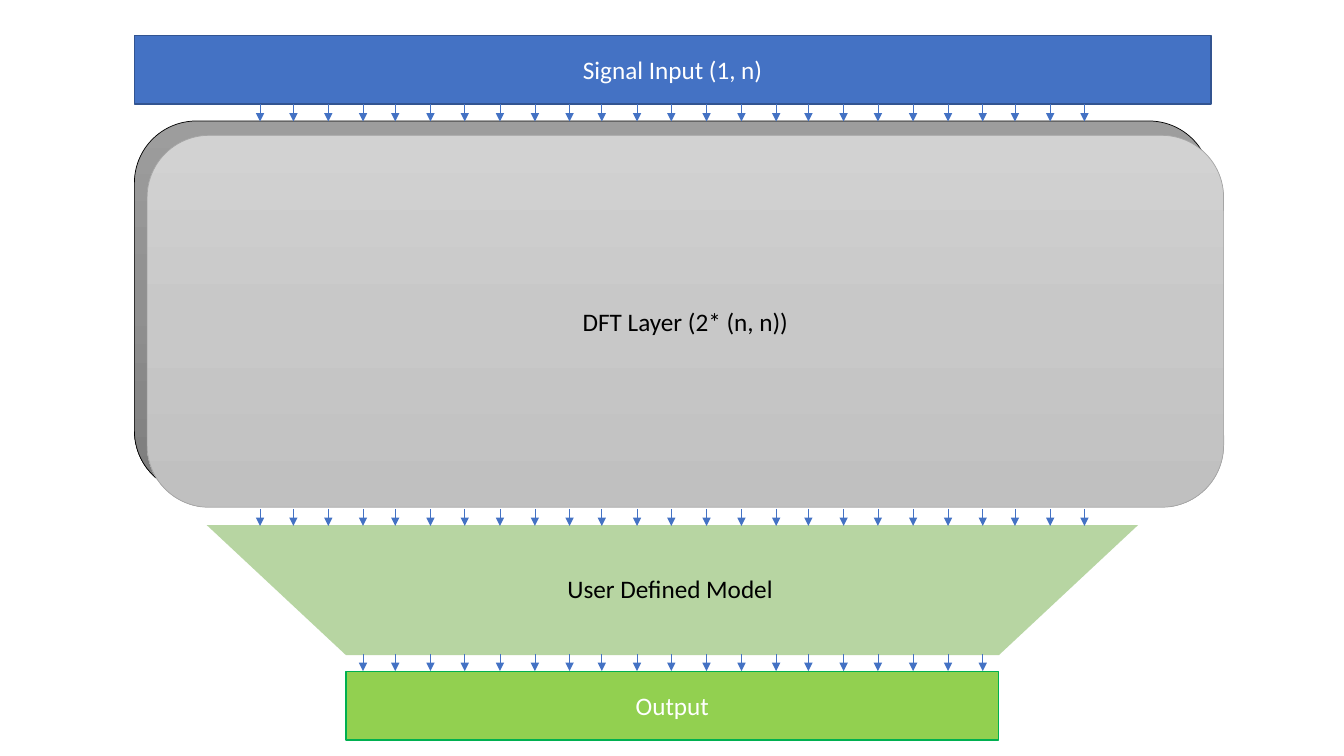
from copy import deepcopy
from lxml import etree
from pptx import Presentation
from pptx import util as u
from pptx.dml.color import RGBColor
from pptx.enum import shapes, text
from pptx.oxml.ns import qn

BLUE = RGBColor(0x44, 0x72, 0xC4)
DARK_BLUE = RGBColor(0x32, 0x54, 0x91)
GREEN = RGBColor(0x70, 0xAD, 0x47)
LIME = RGBColor(0x92, 0xD0, 0x50)
EMERALD = RGBColor(0x00, 0xB0, 0x50)
GRAY = RGBColor(0xA5, 0xA5, 0xA5)
BLACK = RGBColor(0x00, 0x00, 0x00)
WHITE = RGBColor(0xFF, 0xFF, 0xFF)
DARK_GRAYS = [RGBColor(0x9D, 0x9D, 0x9D), RGBColor(0x90, 0x90, 0x90), RGBColor(0x7C, 0x7C, 0x7C)]
LIGHT_GRAYS = [RGBColor(0xD2, 0xD2, 0xD2), RGBColor(0xC8, 0xC8, 0xC8), RGBColor(0xC0, 0xC0, 0xC0)]

presentation = Presentation()
presentation.slide_width = u.Inches(13.33)
presentation.slide_height = u.Inches(7.5)
slide = presentation.slides.add_slide(presentation.slide_layouts[6])
column = presentation.slide_width / 100
row = presentation.slide_height / 100


def add_block(kind, left, top, width, height):
    block = slide.shapes.add_shape(
        kind, int(left * column), int(top * row), int(width * column), int(height * row))
    block.shadow.inherit = False
    return block


def write_label(shape, label, color):
    paragraph = shape.text_frame.paragraphs[0]
    paragraph.text = label
    paragraph.font.name = "Calibri"
    paragraph.font.size = u.Pt(18)
    paragraph.font.color.rgb = color


bars = [
    ("Signal Input (1, n)", 10, 4.7, 80.1, BLUE, DARK_BLUE),
    ("Output", 25.75, 88.8, 48.55, LIME, EMERALD),
]
for label, left, top, width, fill, outline in bars:
    bar = add_block(shapes.MSO_SHAPE.RECTANGLE, left, top, width, 9.07)
    bar.fill.solid()
    bar.fill.fore_color.rgb = fill
    bar.line.color.rgb = outline
    bar.line.width = u.Pt(1)
    write_label(bar, label, WHITE)

for left, top, grays, outline in [(10, 16, DARK_GRAYS, BLACK), (10.95, 17.9, LIGHT_GRAYS, GRAY)]:
    layer = add_block(shapes.MSO_SHAPE.ROUNDED_RECTANGLE, left, top, 80.1, 49.2)
    layer.fill.gradient()
    layer.fill.gradient_angle = 270
    stop_list = layer.fill._xPr.find(".//" + qn("a:gsLst"))
    stop_list.append(deepcopy(stop_list[0]))
    for index, gray in enumerate(grays):
        stop = layer.fill.gradient_stops[index]
        stop.position = index / 2
        stop.color.rgb = gray
    layer.line.color.rgb = outline
    layer.line.width = u.Pt(0.5)
write_label(layer, "DFT Layer (2* (n, n))", BLACK)

model = add_block(shapes.MSO_SHAPE.TRAPEZOID, 15.38, 69.45, 69.3, 17.2)
model.rotation = 180
model.adjustments[0] = 1.07
model.fill.solid()
model.fill.fore_color.rgb = GREEN
model.line.fill.background()
model_color = model._element.spPr.find(".//" + qn("a:srgbClr"))
etree.SubElement(model_color, qn("a:alpha"), val="50000")

model_label = slide.shapes.add_textbox(
    int(41.48 * column), int(75.2 * row), int(16.95 * column), int(5.33 * row))
model_label.text_frame.word_wrap = False
model_label.text_frame.auto_size = text.MSO_AUTO_SIZE.SHAPE_TO_FIT_TEXT
write_label(model_label, "User Defined Model", BLACK)

group_offsets = [0, 2.6, 5.18, 7.58, 10.2, 12.75]
arrow_columns = [19.35] + [
    21.83 + 15.37 * group + offset for group in range(4) for offset in group_offsets]
arrow_rows = [(13.8, arrow_columns), (67.3, arrow_columns), (86.5, arrow_columns[3:22])]
for top, positions in arrow_rows:
    for position in positions:
        arrow = slide.shapes.add_connector(
            shapes.MSO_CONNECTOR.STRAIGHT, int(position * column), int(top * row),
            int(position * column), int((top + 2.27) * row))
        arrow.line.color.rgb = BLUE
        arrow.line.width = u.Pt(0.5)
        etree.SubElement(arrow.line._get_or_add_ln(), qn("a:tailEnd"), type="triangle")
        etree.SubElement(arrow._element.spPr, qn("a:effectLst"))

presentation.save("out.pptx")
